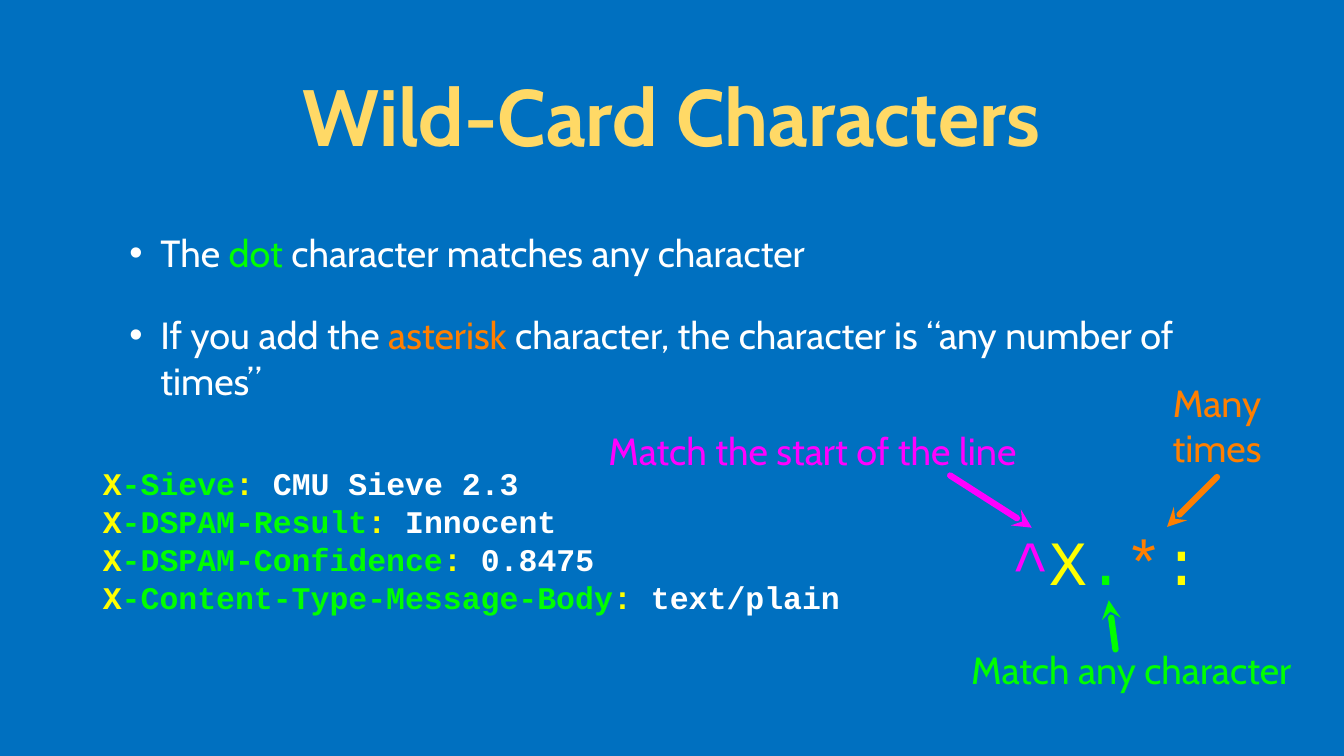
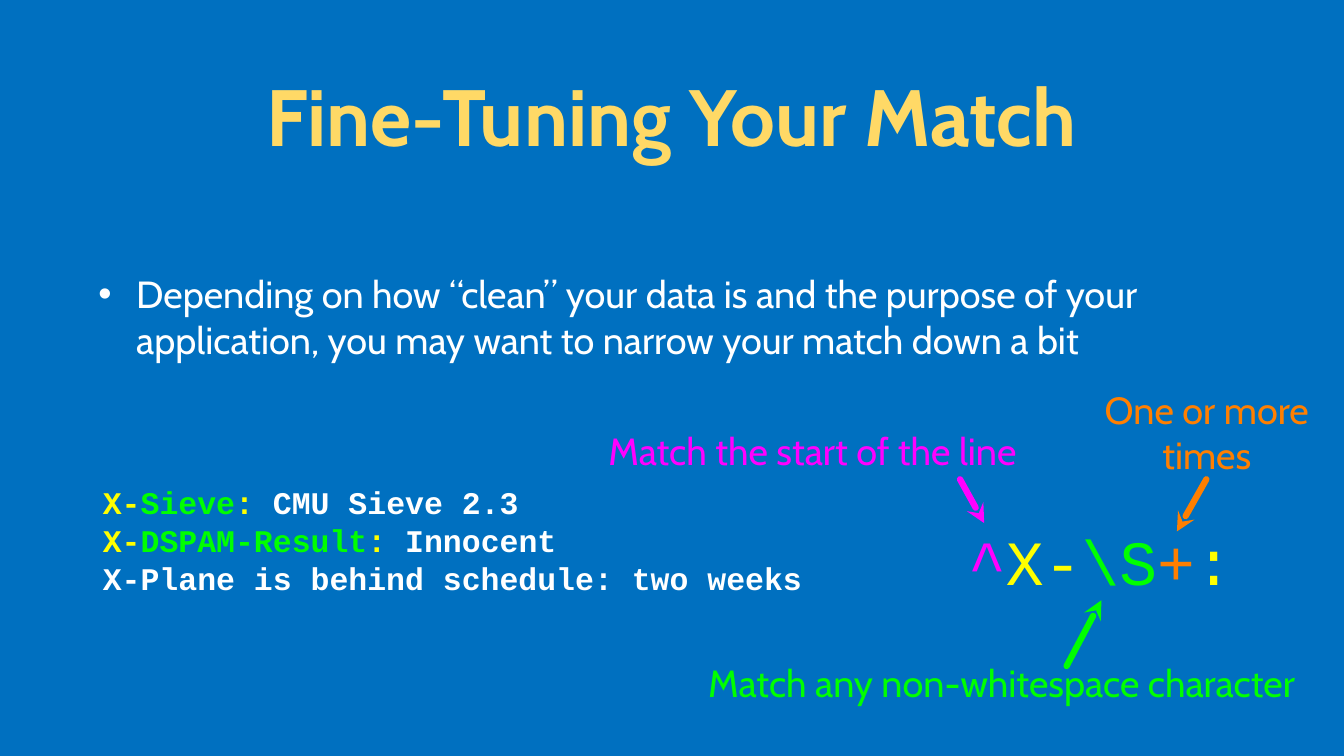
from lxml import etree
from pptx import Presentation
from pptx import util as u
from pptx.dml.color import RGBColor
from pptx.enum import shapes, text
from pptx.oxml.ns import qn

COLORS = {
    "background": "0070C0", "title": "FFD966", "plain": "FFFFFF",
    "literal": "FFFF00", "start": "FF00FF", "any": "00FF00", "repeat": "FF7F00",
}
SANS, MONO = "Cabin", "Courier New"
LEFT, CENTER = text.PP_ALIGN.LEFT, text.PP_ALIGN.CENTER

prs = Presentation()
prs.slide_width, prs.slide_height = u.Inches(17.78), u.Inches(10)
# All positions are in a grid of 100 columns by 100 rows.
COL, ROW = prs.slide_width / 100, prs.slide_height / 100


def write(paragraph, runs, size, font=SANS, bold=False, align=LEFT):
    """Fill a paragraph with (text, colour name) runs."""
    paragraph.alignment = align
    paragraph.font.size = u.Pt(size)
    paragraph.font.name = font
    paragraph.font.bold = bold
    for words, color in runs:
        run = paragraph.add_run()
        run.text = words
        run.font.color.rgb = RGBColor.from_string(COLORS[color])


def add_box(slide, box, lines, size, font=SANS, bold=False, align=CENTER):
    """Add a text box without margins, one paragraph for each list of runs."""
    left, top, width, height = box
    frame = slide.shapes.add_textbox(
        int(left * COL), int(top * ROW), int(width * COL), int(height * ROW)).text_frame
    frame.word_wrap = True
    frame.vertical_anchor = text.MSO_ANCHOR.MIDDLE
    frame.margin_left = frame.margin_right = frame.margin_top = frame.margin_bottom = 0
    for number, runs in enumerate(lines):
        paragraph = frame.add_paragraph() if number else frame.paragraphs[0]
        write(paragraph, runs, size, font, bold, align)


# Shared background, and shared places of title and list
background = prs.slide_master.background.fill
background.solid()
background.fore_color.rgb = RGBColor.from_string(COLORS["background"])
layout = prs.slide_layouts[1]
for holder, top, height in zip(layout.placeholders, (2.6, 28.5), (25.1, 26.7)):
    holder.left, holder.width = int(7.1 * COL), int(85.7 * COL)
    holder.top, holder.height = int(top * ROW), int(height * ROW)
    frame = holder.text_frame
    frame.vertical_anchor = text.MSO_ANCHOR.MIDDLE
    frame.auto_size = text.MSO_AUTO_SIZE.NONE
    frame.margin_left = frame.margin_right = u.Inches(0.04)
    frame.margin_top = frame.margin_bottom = u.Inches(0.04)

# callouts: colour, words, box, arrow tip, arrow tail
START_LABEL = ("start", "Match the start of the line", (45.2, 56.2, 30.5, 6.8))
lessons = [
    {
        "title": "Wild-Card Characters",
        "indent": (0.82, 0.41),
        "points": [
            [("The ", "plain"), ("dot", "any"),
             (" character matches any character", "plain")],
            [("If you add the ", "plain"), ("asterisk", "repeat"),
             (" character, the character is “any number of times”", "plain")],
        ],
        "headers_box": (7.65, 59.3, 58.5, 24.2),
        "headers": [
            [("X", "literal"), ("-" + name, "any"), (": ", "literal"), (value, "plain")]
            for name, value in (
                ("Sieve", "CMU Sieve 2.3"),
                ("DSPAM-Result", "Innocent"),
                ("DSPAM-Confidence", "0.8475"),
                ("Content-Type-Message-Body", "text/plain"),
            )
        ],
        "regex_box": (72.83, 68.7, 18.9, 10.7),
        "regex": [("^", "start"), ("X", "literal"), (".", "any"),
                  ("*", "repeat"), (":", "literal")],
        "callouts": [
            (*START_LABEL, (76.77, 69.8), (70.7, 62.9)),
            ("any", "Match any character", (69.35, 85.1, 29.64, 6.8),
             (82.5, 79.4), (83, 85.9)),
            ("repeat", "Many times", (83.75, 49.3, 13.6, 13.8),
             (86.84, 69.7), (90.55, 63.1)),
        ],
    },
    {
        "title": "Fine-Tuning Your Match",
        "indent": (0.5, 0.5),
        "points": [
            [("Depending on how “clean” your data is and the purpose of your "
              "application, you may want to narrow your match down a bit", "plain")],
        ],
        "headers_box": (7.65, 59.5, 54, 23.9),
        "headers": [
            [("X-", "literal"), (name, "any"), (": ", "literal"), (value, "plain")]
            for name, value in (("Sieve", "CMU Sieve 2.3"), ("DSPAM-Result", "Innocent"))
        ] + [[("X-Plane is behind schedule: two weeks", "plain")]],
        "regex_box": (71.88, 68.8, 20, 10.7),
        "regex": [("^", "start"), ("X-", "literal"), ("\\S", "any"),
                  ("+", "repeat"), (":", "literal")],
        "callouts": [
            (*START_LABEL, (73.23, 69.2), (71.43, 63.4)),
            ("any", "Match any non-whitespace character", (51.86, 86.8, 45.33, 6.8),
             (81.95, 79.4), (79.36, 88.1)),
            ("repeat", "One or more times", (80.37, 50.9, 18.84, 12.5),
             (87.57, 70.3), (89.76, 63.4)),
        ],
    },
]

for lesson in lessons:
    slide = prs.slides.add_slide(layout)
    title, body = slide.placeholders
    write(title.text_frame.paragraphs[0], [(lesson["title"], "title")], 76,
          bold=True, align=CENTER)

    margin, hanging = lesson["indent"]
    for number, runs in enumerate(lesson["points"]):
        point = body.text_frame.add_paragraph() if number else body.text_frame.paragraphs[0]
        point.space_before = u.Pt(35 if number else 0)
        props = point._p.get_or_add_pPr()
        props.set("marL", str(u.Inches(margin)))
        props.set("indent", str(-u.Inches(hanging)))
        bullet_color = etree.SubElement(props, qn("a:buClr"))
        etree.SubElement(bullet_color, qn("a:srgbClr"), val=COLORS["plain"])
        etree.SubElement(props, qn("a:buChar"), char="•")
        write(point, runs, 36)

    add_box(slide, lesson["headers_box"], lesson["headers"], 30, MONO, True, LEFT)
    add_box(slide, lesson["regex_box"], [lesson["regex"]], 60, MONO)

    for color, words, box, _, _ in lesson["callouts"]:
        add_box(slide, box, [[(words, color)]], 36)
    for color, _, _, tip, tail in reversed(lesson["callouts"]):
        arrow = slide.shapes.add_connector(
            shapes.MSO_CONNECTOR.STRAIGHT, int(tip[0] * COL), int(tip[1] * ROW),
            int(tail[0] * COL), int(tail[1] * ROW))
        arrow.line.color.rgb = RGBColor.from_string(COLORS[color])
        arrow.line.width = u.Pt(6)
        stroke = arrow.line._get_or_add_ln()
        stroke.set("cap", "rnd")
        etree.SubElement(stroke, qn("a:headEnd"), type="stealth")
        etree.SubElement(arrow._element.spPr, qn("a:effectLst"))

prs.save("out.pptx")
